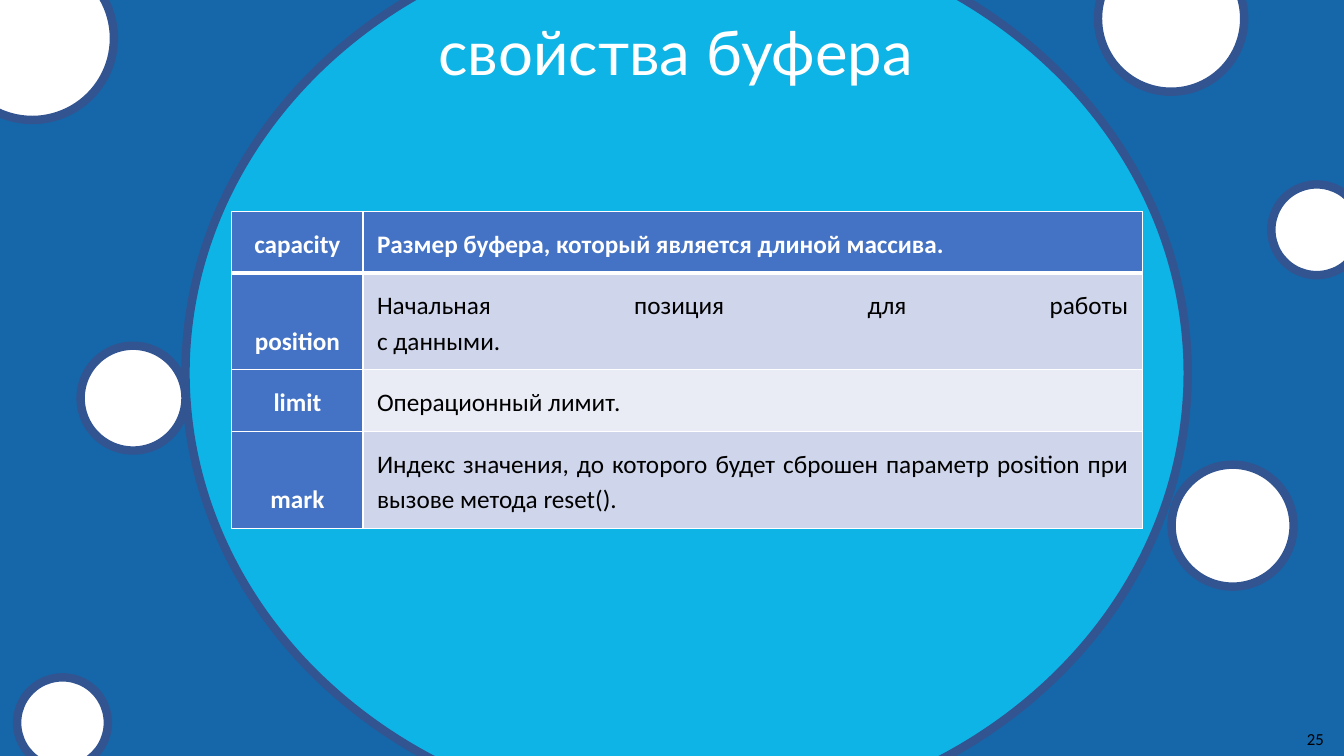
from dataclasses import dataclass

import pptx
import pptx.dml.color
import pptx.enum.shapes
import pptx.enum.text
import pptx.oxml
import pptx.oxml.ns
import pptx.util

Inches = pptx.util.Inches
Pt = pptx.util.Pt
ALIGN = pptx.enum.text.PP_ALIGN
ANCHOR = pptx.enum.text.MSO_ANCHOR

COLORS = {
    "background": "1567A9",
    "disc": "0FB4E7",
    "outline": "325491",
    "white": "FFFFFF",
    "black": "000000",
    "heading": "4472C4",
    "band_dark": "CFD5EA",
    "band_light": "E9EBF5",
}


@dataclass
class Circle:
    left: float
    top: float
    width: float
    height: float
    fill: str = "white"


@dataclass
class Property:
    name: str
    lines: tuple[str, ...]
    height: float
    fill: str


DISC = Circle(1.84, -0.75, 9.94, 8.9, "disc")
BUBBLES = [
    Circle(11.62, 4.61, 1.21, 1.21),
    Circle(0.17, 6.72, 0.9, 0.9),
    Circle(-0.49, -0.43, 1.62, 1.62),
    Circle(10.89, -0.54, 1.45, 1.45),
    Circle(12.61, 1.83, 0.9, 0.9),
    Circle(0.8, 3.43, 1.04, 1.04),
]
PROPERTIES = [
    Property("capacity", ("Размер буфера, который является длиной массива.",), 0.61, "heading"),
    Property("position", ("Начальная позиция для работы", "с данными."), 0.96, "band_dark"),
    Property("limit", ("Операционный лимит.",), 0.61, "band_light"),
    Property("mark", ("Индекс значения, до которого будет сброшен параметр position "
                      "при вызове метода reset().",), 0.96, "band_dark"),
]
COLUMN_WIDTHS = (1.3, 7.73)


def rgb(name: str) -> pptx.dml.color.RGBColor:
    return pptx.dml.color.RGBColor.from_string(COLORS[name])


def add_run(paragraph, text: str, size: float, font: str, color: str, bold: bool = False) -> None:
    run = paragraph.add_run()
    run.text = text
    run.font.size = Pt(size)
    run.font.name = font
    run.font.bold = bold
    run.font.color.rgb = rgb(color)


def add_circle(slide, circle: Circle) -> None:
    oval = slide.shapes.add_shape(
        pptx.enum.shapes.MSO_SHAPE.OVAL, Inches(circle.left), Inches(circle.top),
        Inches(circle.width), Inches(circle.height))
    oval.shadow.inherit = False
    oval.fill.solid()
    oval.fill.fore_color.rgb = rgb(circle.fill)
    oval.line.color.rgb = rgb("outline")
    oval.line.width = Pt(6)


def add_borders(cell, bottom: float) -> None:
    properties = cell._tc.get_or_add_tcPr()
    for side, width in (("L", 1), ("R", 1), ("T", 1), ("B", bottom)):
        properties.append(pptx.oxml.parse_xml(
            f'<a:ln{side} {pptx.oxml.ns.nsdecls("a")} w="{Pt(width)}"><a:solidFill>'
            f'<a:srgbClr val="{COLORS["white"]}"/></a:solidFill></a:ln{side}>'))


def fill_cell(cell, lines: tuple[str, ...], fill: str, align, bottom: float) -> None:
    add_borders(cell, bottom)
    cell.fill.solid()
    cell.fill.fore_color.rgb = rgb(fill)
    cell.vertical_anchor = ANCHOR.BOTTOM
    cell.margin_left = cell.margin_right = Inches(0.14)
    cell.margin_top = cell.margin_bottom = Inches(0.13)
    paragraph = cell.text_frame.paragraphs[0]
    paragraph.alignment = align
    paragraph.line_spacing = 1.15
    is_heading = fill == "heading"
    for index, line in enumerate(lines):
        if index:
            paragraph.add_line_break()
        add_run(paragraph, line, 18, "Calibri", "white" if is_heading else "black", is_heading)


def add_title(slide) -> None:
    title = slide.shapes.title
    title.left, title.top = Inches(3.84), Inches(0.09)
    title.width, title.height = Inches(5.73), Inches(0.84)
    frame = title.text_frame
    frame.word_wrap = True
    frame.auto_size = pptx.enum.text.MSO_AUTO_SIZE.SHAPE_TO_FIT_TEXT
    frame.vertical_anchor = ANCHOR.TOP
    frame.paragraphs[0].alignment = ALIGN.CENTER
    add_run(frame.paragraphs[0], "свойства буфера", 44, "Lato", "white")
    # Bring the title in front of the disc
    title.element.getparent().append(title.element)


def add_page_number(slide) -> None:
    page_number = slide.shapes.add_textbox(Inches(10.23), Inches(7.13), Inches(3), Inches(0.4))
    frame = page_number.text_frame
    frame.word_wrap = True
    frame.vertical_anchor = ANCHOR.MIDDLE
    frame.paragraphs[0].alignment = ALIGN.RIGHT
    add_run(frame.paragraphs[0], "25", 12, "Calibri", "black")


def add_properties(slide) -> None:
    table = slide.shapes.add_table(
        len(PROPERTIES), len(COLUMN_WIDTHS), Inches(2.3), Inches(2.1),
        Inches(sum(COLUMN_WIDTHS)), Inches(sum(item.height for item in PROPERTIES))).table
    table.first_col = True
    for column, width in zip(table.columns, COLUMN_WIDTHS):
        column.width = Inches(width)
    for index, item in enumerate(PROPERTIES):
        table.rows[index].height = Inches(item.height)
        bottom = 1 if index else 3
        fill_cell(table.cell(index, 0), (item.name,), "heading", ALIGN.CENTER, bottom)
        fill_cell(table.cell(index, 1), item.lines, item.fill, ALIGN.JUSTIFY, bottom)


def main() -> None:
    presentation = pptx.Presentation()
    presentation.slide_width = Inches(13.33)
    presentation.slide_height = Inches(7.5)
    slide = presentation.slides.add_slide(presentation.slide_layouts[5])

    # Backdrop
    slide.background.fill.solid()
    slide.background.fill.fore_color.rgb = rgb("background")
    for circle in [DISC, *BUBBLES]:
        add_circle(slide, circle)

    # Content
    add_title(slide)
    add_page_number(slide)
    add_properties(slide)
    presentation.save("out.pptx")


if __name__ == "__main__":
    main()
